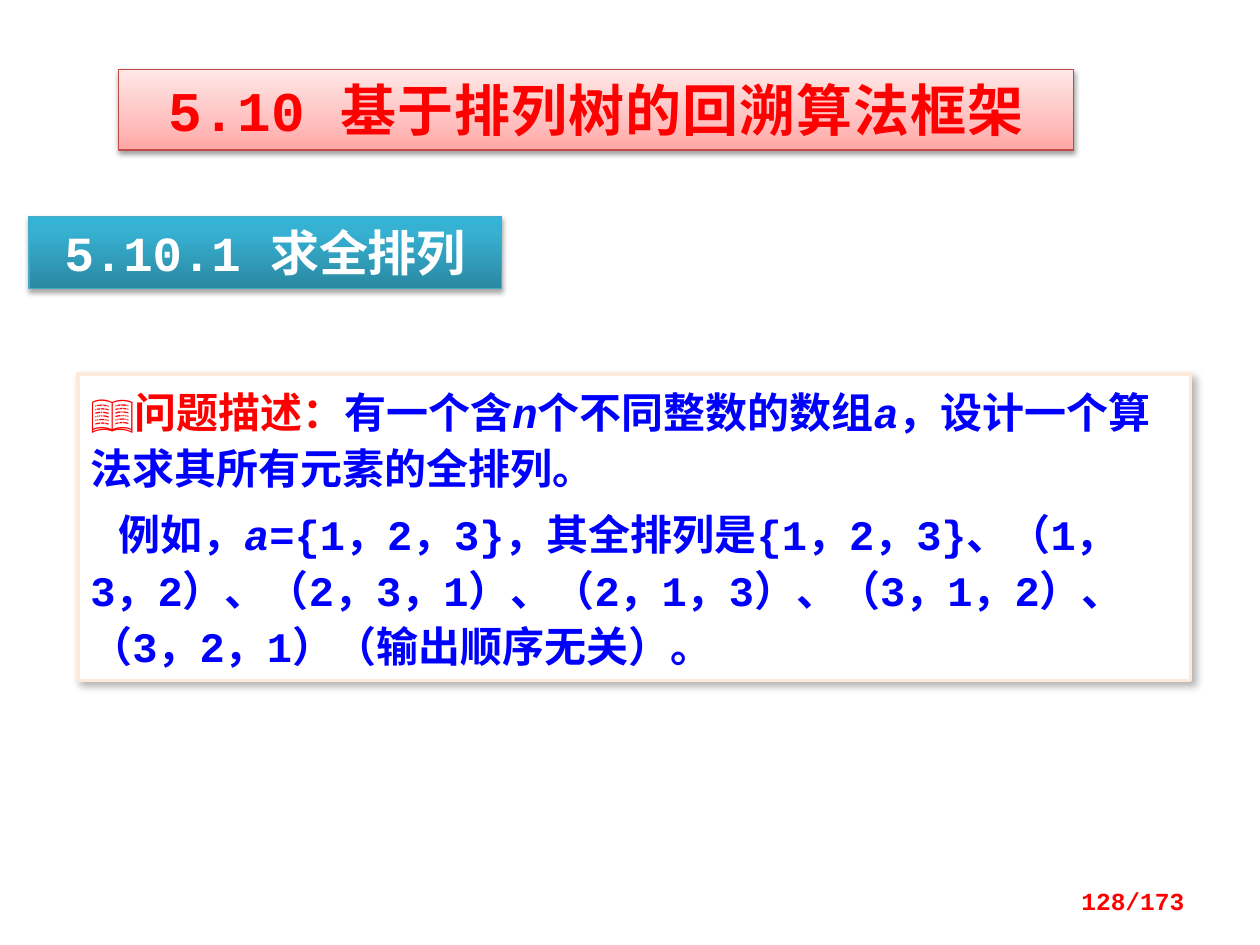
import pptx
import pptx.util
import pptx.dml.color
import pptx.enum.shapes
import pptx.enum.text
import pptx.oxml
import pptx.oxml.ns
from pptx.util import Inches, Pt

ALIGN = pptx.enum.text.PP_ALIGN
ANCHOR = pptx.enum.text.MSO_ANCHOR
RED, BLUE, WHITE = "FF0000", "0000FF", "FFFFFF"


def color(code):
    return pptx.dml.color.RGBColor.from_string(code)


def node(body):
    """Parse a DrawingML element written without its namespace."""
    name, rest = body.split(" ", 1)
    return pptx.oxml.parse_xml(f"{name} {pptx.oxml.ns.nsdecls('a')} {rest}")


class Deck:
    def __init__(self, font):
        self.font = font
        self.show = pptx.Presentation()
        self.show.slide_width = Inches(10)
        self.show.slide_height = Inches(7.5)
        self.slide = self.show.slides.add_slide(self.show.slide_layouts[6])

    def style(self, run, size, code, italic=False):
        font = run.font
        font.name, font.size = self.font, Pt(size)
        font.bold, font.italic = True, italic
        font.color.rgb = color(code)

    def panel(self, area, line, width, shade):
        """Add a rectangle; shade is opacity, blur, distance, angle."""
        kind = pptx.enum.shapes.MSO_SHAPE.RECTANGLE
        box = self.slide.shapes.add_shape(kind, *map(Inches, area))
        box.line.color.rgb = color(line)
        box.line.width = Pt(width)
        box.shadow.inherit = False
        alpha, blur, dist, angle = shade
        box._element.spPr.find(pptx.oxml.ns.qn("a:effectLst")).append(node(
            f'<a:outerShdw blurRad="{Pt(blur)}" dist="{Pt(dist)}" '
            f'dir="{angle * 60000}" rotWithShape="0"><a:srgbClr val="000000">'
            f'<a:alpha val="{alpha * 1000}"/></a:srgbClr></a:outerShdw>'))
        box.text_frame.word_wrap = True
        box.text_frame.vertical_anchor = ANCHOR.TOP
        return box

    def blend(self, box, stops):
        """Fill with a gradient that runs from bottom to top."""
        box.fill.gradient()
        box.fill.gradient_angle = 90
        ramp = next(box._element.spPr.iter(pptx.oxml.ns.qn("a:gsLst")))
        for old in list(ramp):
            ramp.remove(old)
        for place, code in stops:
            ramp.append(node(f'<a:gs pos="{place * 1000}">'
                             f'<a:srgbClr val="{code}"/></a:gs>'))

    def banner(self, area, text, size, code, stops, line, shade, track=0):
        box = self.panel(area, line, 0.75, shade)
        self.blend(box, stops)
        para = box.text_frame.paragraphs[0]
        para.text = text
        para.alignment = ALIGN.CENTER
        run = para.runs[0]
        self.style(run, size, code)
        if track:
            run.font._element.set("spc", str(int(track * 100)))

    def card(self, area, paras, indents):
        box = self.panel(area, "FDEADA", 2, (30, 4.5, 2.6, 53))
        box.fill.solid()
        box.fill.fore_color.rgb = color(WHITE)
        frame = box.text_frame
        for index, parts in enumerate(paras):
            para = frame.add_paragraph() if index else frame.paragraphs[0]
            para.alignment = ALIGN.LEFT
            para.line_spacing = Pt(32)
            para.space_before = Pt(6 if index else 0)
            para._p.get_or_add_pPr().set("indent", str(Inches(indents[index])))
            for text, code, italic in parts:
                run = para.add_run()
                run.text = text
                self.style(run, 24, code, italic)

    def label(self, area, text):
        frame = self.slide.shapes.add_textbox(*map(Inches, area)).text_frame
        frame.word_wrap = True
        frame.vertical_anchor = ANCHOR.MIDDLE
        para = frame.paragraphs[0]
        para.text = text
        para.alignment = ALIGN.RIGHT
        self.style(para.runs[0], 14, RED)


def main():
    deck = Deck("Courier New")
    deck.banner((0.94, 0.55, 7.58, 0.64), "5.10 基于排列树的回溯算法框架", 32, RED,
                [(0, "FFA6A5"), (35, "FFC0BF"), (100, "FFE7E7")],
                "BF4C48", (38, 3.1, 1.6, 90), track=0.5)
    deck.banner((0.23, 1.72, 3.75, 0.57), "5.10.1 求全排列", 28, WHITE,
                [(0, "2A88A2"), (80, "37B1D2"), (100, "34B4D6")],
                "46AAC5", (35, 3.1, 1.8, 90))
    task = [("📖问题描述：", RED, False), ("有一个含", BLUE, False),
            ("n", BLUE, True), ("个不同整数的数组", BLUE, False),
            ("a", BLUE, True),
            ("，设计一个算法求其所有元素的全排列。", BLUE, False)]
    sample = [("例如，", BLUE, False), ("a", BLUE, True),
              ("={1，2，3}，其全排列是{1，2，3}、（1，3，2）、（2，3，1）、"
               "（2，1，3）、（3，1，2）、（3，2，1）（输出顺序无关）。",
               BLUE, False)]
    deck.card((0.62, 2.97, 8.83, 2.43), [task, sample], [0, 0.22])
    deck.label((7.17, 6.95, 2.33, 0.4), "128/173")
    deck.show.save("out.pptx")


if __name__ == "__main__":
    main()
